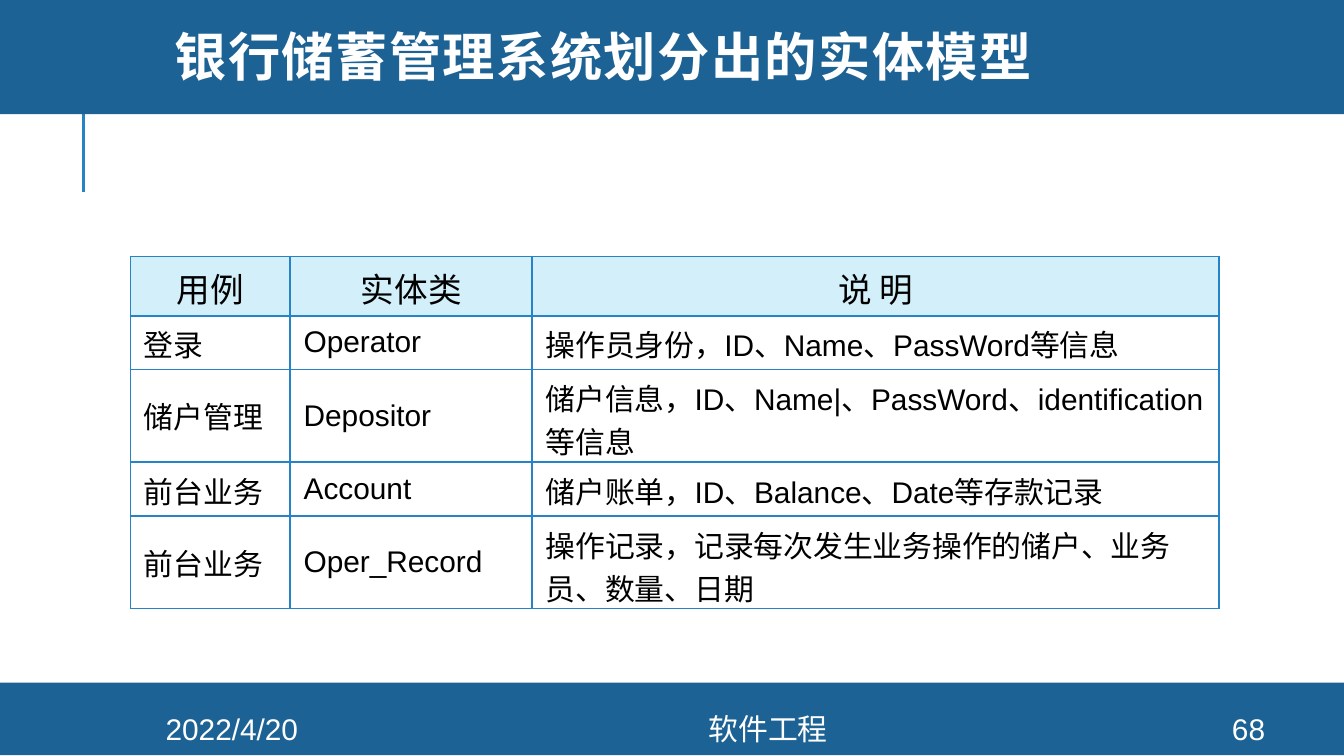
from lxml import etree
from pptx import Presentation
from pptx.dml.color import RGBColor
from pptx.enum.shapes import MSO_CONNECTOR, MSO_SHAPE
from pptx.enum.text import MSO_ANCHOR, MSO_AUTO_SIZE, PP_ALIGN
from pptx.oxml.ns import qn
from pptx.util import Inches, Pt

LEFT, CENTER = PP_ALIGN.LEFT, PP_ALIGN.CENTER
TOP, MIDDLE = MSO_ANCHOR.TOP, MSO_ANCHOR.MIDDLE
COLORS = {
    "band": "1D6294",
    "line": "2683C6",
    "header": "D2EFFA",
    "white": "FFFFFF",
    "black": "000000",
}


def rgb(name):
    return RGBColor.from_string(COLORS[name])


def write(frame, text, size=16, color="black", font="Arial", bold=False,
          align=LEFT, anchor=MIDDLE):
    frame.word_wrap = True
    frame.vertical_anchor = anchor
    paragraph = frame.paragraphs[0]
    paragraph.alignment = align
    paragraph._p.get_or_add_pPr().set("hangingPunct", "0")
    run = paragraph.add_run()
    run.text = text
    run.font.size = Pt(size)
    run.font.name = font
    run.font.bold = bold
    run.font.color.rgb = rgb(color)
    return paragraph


prs = Presentation()
prs.slide_width = Inches(10)
prs.slide_height = prs.slide_width * 9 // 16
slide = prs.slides.add_slide(prs.slide_layouts[5])
shapes = slide.shapes

# Accent line and the two bands
accent = shapes.add_connector(MSO_CONNECTOR.STRAIGHT, Inches(0.62), Inches(1.43),
                              Inches(0.62), Inches(0.68))
accent.line.color.rgb = rgb("line")
accent.line.width = Pt(1.5)
etree.SubElement(accent._element.spPr, qn("a:effectLst"))

for top, height in [(5.08, 0.54), (-0.03, 0.88)]:
    band = shapes.add_shape(MSO_SHAPE.RECTANGLE, 0, Inches(top), Inches(10), Inches(height))
    band.shadow.inherit = False
    band.fill.solid()
    band.fill.fore_color.rgb = rgb("band")
    band.line.fill.background()

# Title, raised above the bands
title = shapes.title
title.left, title.top, title.width, title.height = (
    Inches(1.2), Inches(0), Inches(8.49), Inches(0.91))
heading = write(title.text_frame, "银行储蓄管理系统划分出的实体模型", size=28,
                color="white", font="Montserrat", bold=True)
title.text_frame.auto_size = MSO_AUTO_SIZE.NONE
heading.line_spacing = 0.8
heading.runs[0].font._element.set("spc", "80")
shapes._spTree.append(title._element)

# Footer
for text, left, width in [("2022/4/20", 0.84, 1.77), ("软件工程", 2.61, 6.21), ("68", 8.89, 0.8)]:
    footer = shapes.add_textbox(Inches(left), Inches(5.31), Inches(width), Inches(0.23))
    write(footer.text_frame, text, color="white", align=CENTER)

# Entity table
entities = [
    ("用例", "实体类", "说 明"),
    ("登录", "Operator", "操作员身份，ID、Name、PassWord等信息"),
    ("储户管理", "Depositor", "储户信息，ID、Name|、PassWord、identification等信息"),
    ("前台业务", "Account", "储户账单，ID、Balance、Date等存款记录"),
    ("前台业务", "Oper_Record", "操作记录，记录每次发生业务操作的储户、业务员、数量、日期"),
]
column_widths = [1.19, 1.8, 5.11]
row_heights = [0.44, 0.4, 0.69, 0.4, 0.69]
table = shapes.add_table(len(entities), len(column_widths), Inches(0.97), Inches(1.91),
                         Inches(sum(column_widths)), Inches(sum(row_heights))).table
for column, width in zip(table.columns, column_widths):
    column.width = Inches(width)
for row, height in zip(table.rows, row_heights):
    row.height = Inches(height)

for r, entity in enumerate(entities):
    header = r == 0
    for c, text in enumerate(entity):
        cell = table.cell(r, c)
        write(cell.text_frame, text, size=18 if header else 16,
              align=CENTER if header else LEFT)
        cell.vertical_anchor = TOP if header else MIDDLE
        properties = cell._tc.get_or_add_tcPr()
        for side in ("a:lnL", "a:lnR", "a:lnT", "a:lnB"):
            border = etree.SubElement(properties, qn(side), w=str(Pt(1)))
            fill = etree.SubElement(border, qn("a:solidFill"))
            etree.SubElement(fill, qn("a:srgbClr"), val=COLORS["line"])
        cell.fill.solid()
        cell.fill.fore_color.rgb = rgb("header" if header else "white")

prs.save("out.pptx")
